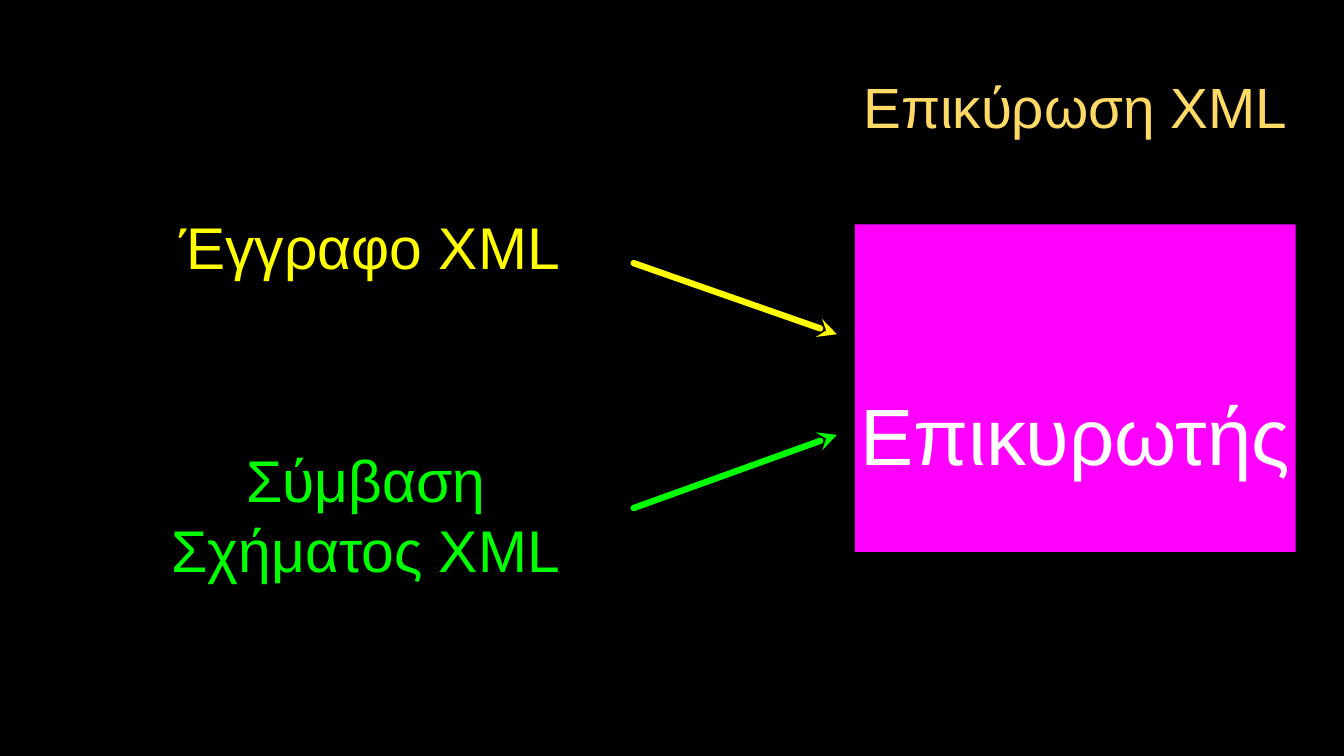
from lxml.etree import SubElement
from pptx import Presentation
from pptx.dml.color import RGBColor
from pptx.enum.shapes import MSO_CONNECTOR, MSO_SHAPE
from pptx.enum.text import MSO_ANCHOR, MSO_AUTO_SIZE, PP_ALIGN
from pptx.oxml.ns import qn
from pptx.util import Cm, Pt

YELLOW, GREEN, MAGENTA = "FFFF00", "00FF00", "FF00FF"
WHITE, GOLD, BLACK = "FFFFFF", "FFD966", "000000"
COLUMN_LEFT, COLUMN_WIDTH = 28.73, 14.81
ARROW_LEFT, ARROW_RIGHT = 21.29, 28.12


def rgb(color):
    """Turn a hex string into a colour."""
    return RGBColor.from_string(color)


def write(sp, text, size, color, top=0):
    """Fill a shape with one centred line of formatted text."""
    tf = sp.text_frame
    tf.word_wrap = True
    tf.auto_size = MSO_AUTO_SIZE.NONE
    tf.vertical_anchor = MSO_ANCHOR.MIDDLE
    tf.margin_left = tf.margin_right = tf.margin_bottom = 0
    tf.margin_top = Cm(top)
    p = tf.paragraphs[0]
    p.alignment = PP_ALIGN.CENTER
    r = p.add_run()
    r.text = text
    r.font.name = "Arial"
    r.font.size = Pt(size)
    r.font.color.rgb = rgb(color)


def add_title(s, text, y, h, **fmt):
    """Place the title above the right-hand column."""
    sp = s.shapes.title
    sp.left, sp.top = Cm(COLUMN_LEFT), Cm(y)
    sp.width, sp.height = Cm(COLUMN_WIDTH), Cm(h)
    write(sp, text, **fmt)


def add_label(s, text, x, y, w, h, **fmt):
    """Add a text box."""
    write(s.shapes.add_textbox(Cm(x), Cm(y), Cm(w), Cm(h)), text, **fmt)


def add_block(s, text, y, h, fill, **fmt):
    """Add a filled rectangle in the right-hand column."""
    sp = s.shapes.add_shape(MSO_SHAPE.RECTANGLE, Cm(COLUMN_LEFT), Cm(y),
                            Cm(COLUMN_WIDTH), Cm(h))
    sp.shadow.inherit = False
    sp.fill.solid()
    sp.fill.fore_color.rgb = rgb(fill)
    sp.line.fill.background()
    write(sp, text, **fmt)


def add_arrow(s, y1, y2, color):
    """Add a thick round-capped arrow towards the right-hand column."""
    cn = s.shapes.add_connector(MSO_CONNECTOR.STRAIGHT, Cm(ARROW_LEFT), Cm(y1),
                                Cm(ARROW_RIGHT), Cm(y2))
    cn.line.color.rgb = rgb(color)
    cn.line.width = Pt(6)
    ln = cn.line._get_or_add_ln()
    ln.set("cap", "rnd")
    SubElement(ln, qn("a:round"))
    SubElement(ln, qn("a:tailEnd"), type="stealth")
    SubElement(cn._element.spPr, qn("a:effectLst"))


def main():
    """Build the XML validation slide."""
    prs = Presentation()
    prs.slide_width, prs.slide_height = Cm(45.16), Cm(25.4)
    s = prs.slides.add_slide(prs.slide_layouts[5])
    s.background.fill.solid()
    s.background.fill.fore_color.rgb = rgb(BLACK)

    add_title(s, "Επικύρωση XML", 2.16, 2.79, size=54, color=GOLD)
    add_block(s, "Επικυρωτής", 7.54, 11, MAGENTA, size=76, color=WHITE, top=3.08)
    add_label(s, "Έγγραφο XML", 5.77, 7.01, 13.31, 2.54, size=56, color=YELLOW)
    add_label(s, "Σύμβαση Σχήματος XML", 3.78, 16, 17.02, 2.54, size=56, color=GREEN)
    add_arrow(s, 8.84, 11.23, YELLOW)
    add_arrow(s, 17.07, 14.61, GREEN)
    prs.save("out.pptx")


if __name__ == "__main__":
    main()
